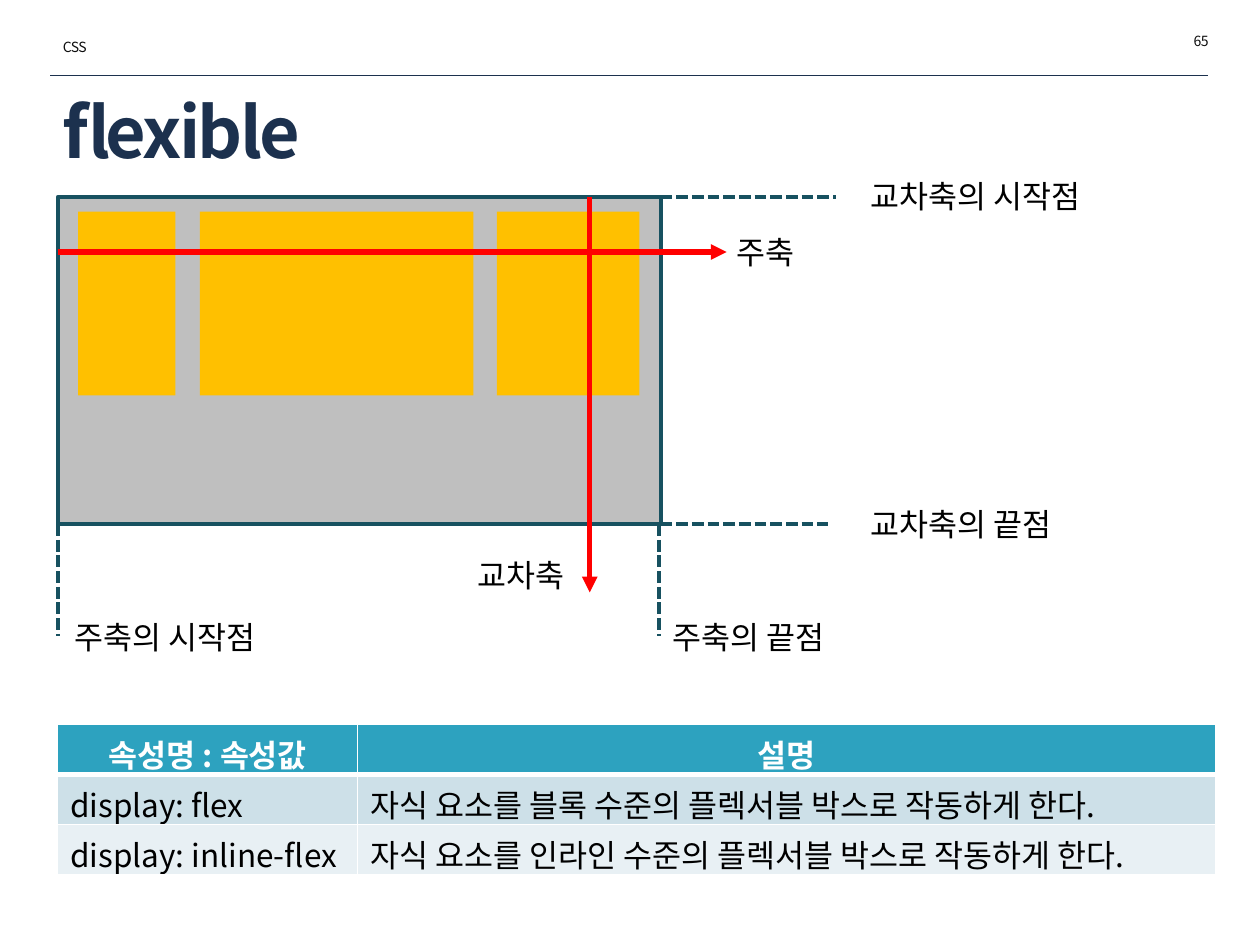
from lxml import etree
from pptx import Presentation
from pptx import util as u
from pptx.dml.color import RGBColor
from pptx.enum import dml, shapes, text
from pptx.oxml import ns

Pt = u.Pt
FONT = "Noto Sans CJK KR"
NAVY, TEAL, RED, BLACK, WHITE = "1C314E", "175160", "FF0000", "000000", "FFFFFF"
LEFT, CENTER, RIGHT = text.PP_ALIGN.LEFT, text.PP_ALIGN.CENTER, text.PP_ALIGN.RIGHT


def color(value):
    return RGBColor.from_string(value)


def sub(parent, tag, **attrs):
    return etree.SubElement(parent, ns.qn(tag), attrs)


class Builder:
    def __init__(self, slide):
        self.s = slide

    def style(self, p, size, fill, bold=False, align=LEFT, spacing=0):
        p.alignment = align
        for r in p.runs:
            r.font.size, r.font.bold, r.font.name = Pt(size), bold, FONT
            r.font.color.rgb = color(fill)
            rpr = r._r.get_or_add_rPr()
            sub(rpr, "a:ea", typeface=FONT)
            if spacing:
                rpr.set("spc", str(int(spacing * 100)))

    def label(self, words, x, y, w, h=28.8, size=18, fill=BLACK,
              anchor=text.MSO_ANCHOR.TOP, **look):
        sp = self.s.shapes.add_textbox(Pt(x), Pt(y), Pt(w), Pt(h))
        tf = sp.text_frame
        tf.text = words
        tf.word_wrap = True
        tf.vertical_anchor = anchor
        self.style(tf.paragraphs[0], size, fill, **look)

    def rect(self, x, y, w, h, fill, line=None):
        sp = self.s.shapes.add_shape(shapes.MSO_SHAPE.RECTANGLE, Pt(x), Pt(y), Pt(w), Pt(h))
        sp.shadow.inherit = False
        sp.fill.solid()
        sp.fill.fore_color.rgb = color(fill)
        if line:
            sp.line.color.rgb = color(line)
            sp.line.width = Pt(2.25)
        else:
            sp.line.fill.background()

    def line(self, x1, y1, x2, y2, fill, width, dashed=False, arrow=False):
        c = self.s.shapes.add_connector(
            shapes.MSO_CONNECTOR.STRAIGHT, Pt(x1), Pt(y1), Pt(x2), Pt(y2))
        c.line.color.rgb = color(fill)
        c.line.width = Pt(width)
        if dashed:
            c.line.dash_style = dml.MSO_LINE.SQUARE_DOT
        if arrow:
            sub(c.line._get_or_add_ln(), "a:tailEnd", type="triangle")
        sub(c._element.spPr, "a:effectLst")

    def cell(self, cell, words, fill, ink, bottom=1, **look):
        cell.text = words
        cell.margin_bottom = 0
        self.style(cell.text_frame.paragraphs[0], 18, ink, **look)
        tcpr = cell._tc.get_or_add_tcPr()
        for side, width in (("L", 1), ("R", 1), ("T", 1), ("B", bottom)):
            ln = sub(tcpr, "a:ln" + side, w=str(Pt(width)))
            sub(sub(ln, "a:solidFill"), "a:srgbClr", val=WHITE)
        cell.fill.solid()
        cell.fill.fore_color.rgb = color(fill)

    def table(self, x, y, widths, row_height, rows, fills):
        t = self.s.shapes.add_table(len(rows), len(widths), Pt(x), Pt(y),
                                    Pt(sum(widths)), Pt(row_height * len(rows))).table
        for column, width in zip(t.columns, widths):
            column.width = Pt(width)
        for i, row in enumerate(rows):
            t.rows[i].height = Pt(row_height)
            look = dict(ink=BLACK) if i else dict(ink=WHITE, bottom=3, bold=True, align=CENTER)
            for j, words in enumerate(row):
                self.cell(t.cell(i, j), words, fills[i], **look)


def main():
    prs = Presentation()
    prs.slide_width, prs.slide_height = Pt(720), Pt(540)
    b = Builder(prs.slides.add_slide(prs.slide_layouts[6]))

    # Header and title
    b.line(28.8, 43.2, 690.5, 43.2, NAVY, 0.25)
    b.label("flexible", 28.8, 51.8, 658.8, 46, 40, NAVY,
            text.MSO_ANCHOR.MIDDLE, bold=True, spacing=-1.5)
    small = dict(w=124.6, h=17.3, size=8, fill="0D0D0D", spacing=-0.3)
    b.label("65", 573.1, 15.1, align=RIGHT, **small)
    b.label("CSS", 28.8, 18.7, **small)

    # Flex container and its items
    left, top, width, height = 33, 112.5, 344.5, 187
    right, bottom = left + width, top + height
    b.rect(left, top, width, height, "BFBFBF", TEAL)
    for x, w in ((44.6, 55.6), (114.3, 156.3), (284, 81.4)):
        b.rect(x, 121, w, 105, "FFC000")

    # Dashed guides from the container's corners
    for x in (left, right - 1):
        b.line(x, bottom, x, 363.5, TEAL, 2.25, dashed=True)
    for y, end in ((top, 477.5), (bottom, 473)):
        b.line(right, y, end, y, TEAL, 2.25, dashed=True)

    # Main axis and cross axis
    b.line(left, 144, 415.3, 144, RED, 3, arrow=True)
    b.line(337, top, 337, 338.5, RED, 3, arrow=True)

    # Labels
    for words, x, y, w in (
        ("교차축의 시작점", 490.3, 97.9, 170),
        ("교차축의 끝점", 490.3, 285, 170),
        ("주축의 끝점", 377.3, 349.4, 170),
        ("주축의 시작점", 35.5, 349.4, 170),
        ("교차축", 265.7, 314, 82),
        ("주축", 414, 129.8, 82),
    ):
        b.label(words, x, y, w)

    # Property table
    b.table(33, 414, (171.4, 490.3), 28.6, (
        ("속성명 : 속성값", "설명"),
        ("display: flex", "자식 요소를 블록 수준의 플렉서블 박스로 작동하게 한다."),
        ("display: inline-flex", "자식 요소를 인라인 수준의 플렉서블 박스로 작동하게 한다."),
    ), ("2DA2BF", "CDE0E8", "E8F0F4"))

    prs.save("out.pptx")


if __name__ == "__main__":
    main()
